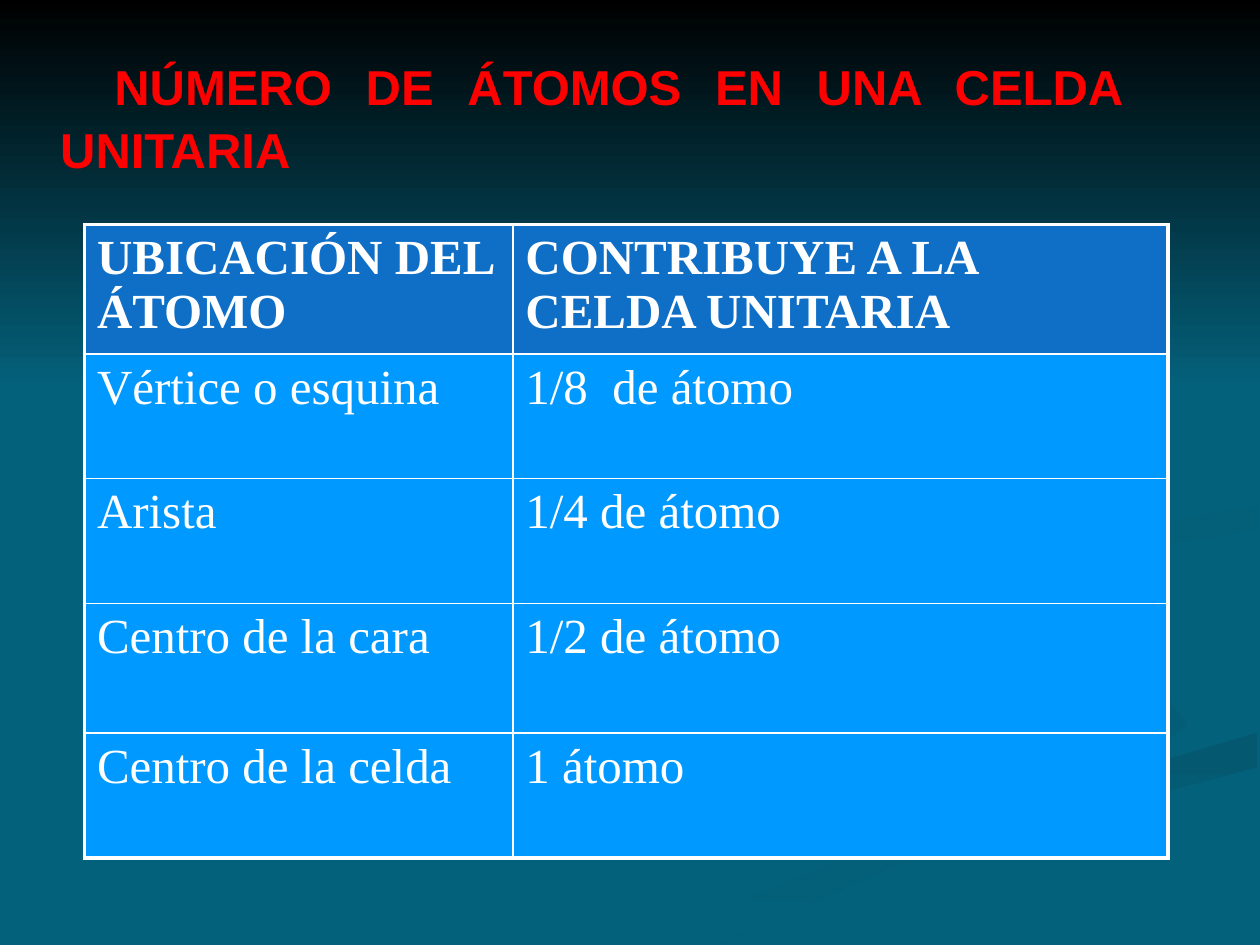
from dataclasses import dataclass

from lxml import etree
from pptx import Presentation
from pptx.dml.color import RGBColor
from pptx.enum.shapes import MSO_SHAPE
from pptx.enum.text import PP_ALIGN
from pptx.oxml.ns import qn
from pptx.util import Inches, Pt

RECTANGLE = MSO_SHAPE.RECTANGLE
JUSTIFY = PP_ALIGN.JUSTIFY

TEAL, WHITE, RED, BLACK = "04617B", "FFFFFF", "FF0000", "000000"
HEADER_FILL, BODY_FILL = "0F6FC6", "0099FF"
OUTER_LINE, INNER_LINE = 2.25, 1
TEXT_SIZE = Pt(28)

ROWS = [
    ("UBICACIÓN DEL ÁTOMO", "CONTRIBUYE A LA CELDA UNITARIA"),
    ("Vértice o esquina", "1/8  de átomo"),
    ("Arista", "1/4 de átomo"),
    ("Centro de la cara", "1/2 de átomo"),
    ("Centro de la celda", "1 átomo"),
]
COLUMN_WIDTHS = [3.4, 5.2]
ROW_HEIGHTS = [1.03, 0.99, 0.99, 1.03, 0.99]


@dataclass
class Ribbon:
    start: str
    end: str
    angle: int  # clockwise degrees
    points: list[tuple[float, float]]


RIBBONS = [
    Ribbon(TEAL, "045D76", 0, [
        (7.8, 5.5), (5.75, 4.59), (7.86, 5.66), (5.4, 6.5), (3, 7.49),
        (3.61, 7.49), (5.6, 6.65), (8, 5.8)]),
    Ribbon(TEAL, "045D76", 45, [
        (9.43, 5.7), (9.19, 5.47), (7.24, 4.64), (9, 5.57), (8.94, 6.05),
        (9.37, 5.86)]),
    Ribbon("045971", TEAL, 90, [
        (5.03, 7.49), (5.71, 7.49), (7.2, 6.82), (9.98, 6.09), (9.98, 5.81),
        (7.64, 6.47), (6.3, 6.93)]),
    Ribbon(TEAL, TEAL, 0, [
        (7.25, 4.64), (9.2, 5.47), (9.43, 5.75), (9.1, 6), (7, 6.55),
        (4.77, 7.49), (5.04, 7.49), (7, 6.69), (9.99, 5.81), (9.99, 5.38),
        (7.82, 4.6), (9.99, 4.02), (9.99, 3.87)]),
    Ribbon("045C74", TEAL, 45, [
        (7.82, 4.6), (8.26, 4.96), (8.05, 4.7), (8.8, 4.39), (9.98, 4.2),
        (9.98, 4.02), (8.5, 4.27)]),
    Ribbon("045A72", TEAL, 45, [
        (6.83, 4.3), (8.55, 3.91), (8.94, 3.44), (7.63, 2.33), (8.89, 3.35),
        (5.77, 4.6), (6.22, 5)]),
]


def color(value: str) -> RGBColor:
    return RGBColor.from_string(value)


def paint_gradient(shape, start: str, end: str, angle: int) -> None:
    shape.shadow.inherit = False
    shape.line.fill.background()
    shape.fill.gradient()
    shape.fill.gradient_angle = -angle % 360
    for position, (stop, value) in enumerate(zip(shape.fill.gradient_stops, (start, end))):
        stop.position = position
        stop.color.rgb = color(value)


def draw_ribbon(page, ribbon: Ribbon) -> None:
    points = [(Inches(x), Inches(y)) for x, y in ribbon.points]
    builder = page.shapes.build_freeform(*points[0])
    builder.add_line_segments(points[1:], close=True)
    paint_gradient(builder.convert_to_shape(), ribbon.start, ribbon.end, ribbon.angle)


def set_border(cell, side: str, width: float) -> None:
    properties = cell._tc.get_or_add_tcPr()
    line = etree.SubElement(properties, qn(f"a:ln{side}"), w=str(Pt(width)))
    fill = etree.SubElement(line, qn("a:solidFill"))
    etree.SubElement(fill, qn("a:srgbClr"), val=WHITE)


def draw_table(page) -> None:
    last_row, last_column = len(ROWS) - 1, len(COLUMN_WIDTHS) - 1
    table = page.shapes.add_table(
        len(ROWS), len(COLUMN_WIDTHS), Inches(0.67), Inches(1.78),
        Inches(sum(COLUMN_WIDTHS)), Inches(sum(ROW_HEIGHTS))).table
    for column, width in zip(table.columns, COLUMN_WIDTHS):
        column.width = Inches(width)
    for row_index, (texts, height) in enumerate(zip(ROWS, ROW_HEIGHTS)):
        table.rows[row_index].height = Inches(height)
        for column_index, text in enumerate(texts):
            cell = table.cell(row_index, column_index)
            is_outer = {"L": column_index == 0, "R": column_index == last_column,
                        "T": row_index == 0, "B": row_index == last_row}
            for side, outer in is_outer.items():
                set_border(cell, side, OUTER_LINE if outer else INNER_LINE)
            cell.fill.solid()
            cell.fill.fore_color.rgb = color(HEADER_FILL if row_index == 0 else BODY_FILL)
            cell.text = text
            font = cell.text_frame.paragraphs[0].font
            font.name, font.size, font.bold = "Times New Roman", TEXT_SIZE, row_index == 0
            font.color.rgb = color(WHITE)


def draw_title(page) -> None:
    box = page.shapes.add_textbox(Inches(0), Inches(0.36), Inches(9), Inches(1.06))
    box.text_frame.word_wrap = True
    para = box.text_frame.paragraphs[0]
    para.text = "NÚMERO DE ÁTOMOS EN UNA CELDA UNITARIA"
    para.alignment = JUSTIFY
    para.line_spacing = 1.08
    properties = para._p.get_or_add_pPr()
    properties.set("marL", str(Inches(0.38)))
    properties.set("indent", str(Inches(0.43)))
    font = para.font
    font.name, font.size, font.bold = "Arial", TEXT_SIZE, True
    font.color.rgb = color(RED)


def main() -> None:
    deck = Presentation()
    deck.slide_width, deck.slide_height = Inches(10), Inches(7.5)
    page = deck.slides.add_slide(deck.slide_layouts[6])
    page.background.fill.solid()
    page.background.fill.fore_color.rgb = color(TEAL)
    for ribbon in RIBBONS:
        draw_ribbon(page, ribbon)
    sky = page.shapes.add_shape(RECTANGLE, 0, 0, Inches(10), Inches(3.08))
    paint_gradient(sky, BLACK, TEAL, 90)
    draw_table(page)
    draw_title(page)
    deck.save("out.pptx")


if __name__ == "__main__":
    main()
